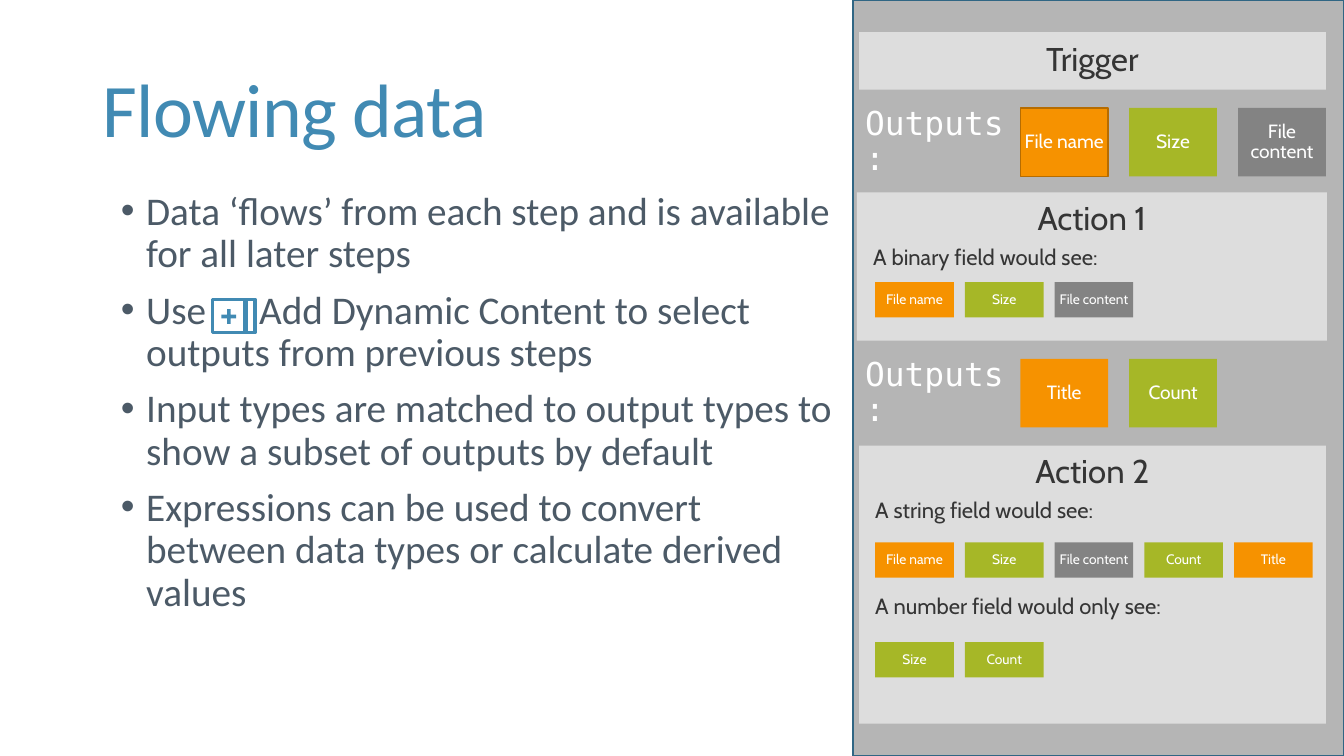
from dataclasses import dataclass

from pptx import Presentation
from pptx.dml.color import RGBColor
from pptx.enum.shapes import MSO_SHAPE as Preset
from pptx.enum.text import MSO_ANCHOR as Anchor, MSO_AUTO_SIZE as AutoSize, PP_ALIGN as Align
from pptx.oxml.xmlchemy import OxmlElement
from pptx.util import Inches, Pt


@dataclass(frozen=True)
class Theme:
    blue: str = "418AB3"
    slate: str = "4C5A67"
    backdrop: str = "B5B5B5"
    backdrop_edge: str = "306684"
    panel: str = "DDDDDD"
    ink: str = "353535"
    white: str = "FFFFFF"
    orange: str = "F69200"
    orange_edge: str = "B66C00"
    green: str = "A6B727"
    gray: str = "838383"
    main_font: str = "Calibri"
    diagram_font: str = "Cabin"
    mono_font: str = "DejaVu Sans Mono"
    title_size: float = 54
    body_size: float = 28
    heading_size: float = 23.5
    caption_size: float = 15.7
    output_size: float = 13.7
    token_size: float = 9.8


theme = Theme()
token_colors = {
    "File name": theme.orange,
    "Title": theme.orange,
    "Size": theme.green,
    "Count": theme.green,
    "File content": theme.gray,
}

deck = Presentation()
deck.slide_width, deck.slide_height = Inches(13.33), Inches(7.5)
page = deck.slides.add_slide(deck.slide_layouts[1])


def add_block(area, fill=None, edge=None, edge_width=1, preset=Preset.RECTANGLE):
    """Add a flat shape at area (left, top, width, height in inches)."""
    block = page.shapes.add_shape(preset, *map(Inches, area))
    block.shadow.inherit = False
    if fill:
        block.fill.solid()
        block.fill.fore_color.rgb = RGBColor.from_string(fill)
    else:
        block.fill.background()
    if edge:
        block.line.color.rgb = RGBColor.from_string(edge)
        block.line.width = Pt(edge_width)
    else:
        block.line.fill.background()
    return block


def write(box, lines, font, color, inset=(0, 0), anchor=Anchor.TOP, align=Align.LEFT):
    """Fill box with (text, size, space before) lines; inset is (side, top) in inches."""
    frame = box.text_frame
    frame.word_wrap = True
    frame.auto_size = AutoSize.NONE
    frame.vertical_anchor = anchor
    frame.margin_left = frame.margin_right = Inches(inset[0])
    frame.margin_top = frame.margin_bottom = Inches(inset[1])
    frame.text = "\n".join(text for text, size, gap in lines)
    for para, (text, size, gap) in zip(frame.paragraphs, lines):
        para.alignment = align
        para.line_spacing = 0.9
        para.space_before = Pt(gap)
        for span in para.runs:
            span.font.name = font
            span.font.size = Pt(size)
            span.font.color.rgb = RGBColor.from_string(color)


# Title and bullets
title = page.shapes.title
title.left, title.top, title.width, title.height = map(Inches, (0.92, 0.4, 11.5, 1.45))
write(title, [("Flowing data", theme.title_size, 0)], theme.main_font, theme.blue,
      (0.1, 0.05), Anchor.MIDDLE)
title.text_frame.paragraphs[0].runs[0].font._element.set("spc", "-50")

body = page.placeholders[1]
body.left, body.top, body.width, body.height = map(Inches, (1.1, 1.85, 7.33, 4.52))
points = [
    "Data ‘flows’ from each step and is available for all later steps",
    "Use Add Dynamic Content to select outputs from previous steps",
    "Input types are matched to output types to show a subset of outputs by default",
    "Expressions can be used to convert between data types or calculate derived values",
]
write(body, [(point, theme.body_size, 10 if row else 0) for row, point in enumerate(points)],
      theme.main_font, theme.slate, (0.1, 0.05))
for para in body.text_frame.paragraphs:
    properties = para._p.get_or_add_pPr()
    properties.set("marL", str(Inches(0.25)))
    properties.set("indent", str(-Inches(0.25)))
    bullet = OxmlElement("a:buChar")
    bullet.set("char", "•")
    properties.append(bullet)

# One widely tracked space leaves room for the icon in the second bullet
icon_para = body.text_frame.paragraphs[1]
first, rest = icon_para.runs[0].text.split(" ", 1)
icon_para.runs[0].text = first
for text in (" ", rest):
    span = icon_para.add_run()
    span.text = text
    span.font.name = theme.main_font
    span.font.size = Pt(theme.body_size)
    span.font.color.rgb = RGBColor.from_string(theme.slate)
icon_para.runs[1].font._element.set("spc", "3160")

# Diagram backdrop and step panels
add_block((8.46, 0, 4.87, 7.5), theme.backdrop, theme.backdrop_edge)
panels = [
    ((8.52, 0.32, 4.63, 0.57), "Trigger", [], Anchor.MIDDLE),
    ((8.5, 1.91, 4.66, 1.47), "Action 1", [("A binary field would see:", 5.9)], Anchor.TOP),
    ((8.52, 4.42, 4.63, 2.76), "Action 2",
     [("A string field would see:", 5.9), ("A number field would only see:", 51.5)], Anchor.TOP),
]
for area, heading, captions, anchor in panels:
    panel = add_block(area, theme.panel)
    lines = [(heading, theme.heading_size, 0)]
    lines += [(caption, theme.caption_size, gap) for caption, gap in captions]
    write(panel, lines, theme.diagram_font, theme.ink, (0.16, 0.1), anchor)
    panel.text_frame.paragraphs[0].alignment = Align.CENTER

# Output labels
for top in (0.9, 3.39):
    label = page.shapes.add_textbox(*map(Inches, (8.38, top, 1.96, 0.67)))
    write(label, [("Outputs:", theme.heading_size, 0)], theme.mono_font, theme.white, (0.2, 0.16))
    label.text_frame.auto_size = AutoSize.SHAPE_TO_FIT_TEXT

# Rows of tokens: left, top, width, height, pitch, text size, names
output_row = (0.87, 0.68, 1.08, theme.output_size)
field_row = (0.78, 0.35, 0.89, theme.token_size)
token_rows = [
    (10.12, 1.07, output_row, ["File name", "Size", "File content"]),
    (8.68, 2.8, field_row, ["File name", "Size", "File content"]),
    (10.12, 3.56, output_row, ["Title", "Count"]),
    (8.68, 5.38, field_row, ["File name", "Size", "File content", "Count", "Title"]),
    (8.68, 6.37, field_row, ["Size", "Count"]),
]
for left, top, (width, height, pitch, size), names in token_rows:
    for column, name in enumerate(names):
        outlined = top == 1.07 and name == "File name"
        token = add_block((left + column * pitch, top, width, height), token_colors[name],
                          theme.orange_edge if outlined else None)
        write(token, [(name, size, 0)], theme.diagram_font, theme.white,
              anchor=Anchor.MIDDLE, align=Align.CENTER)

# Dynamic content icon
for left, width in ((2.11, 0.33), (2.43, 0.1)):
    add_block((left, 2.97, width, 0.33), edge=theme.blue, edge_width=2.5)
plus = add_block((2.17, 3.04, 0.2, 0.2), theme.blue, preset=Preset.MATH_PLUS)
plus.adjustments[0] = 0.18

deck.save("out.pptx")
